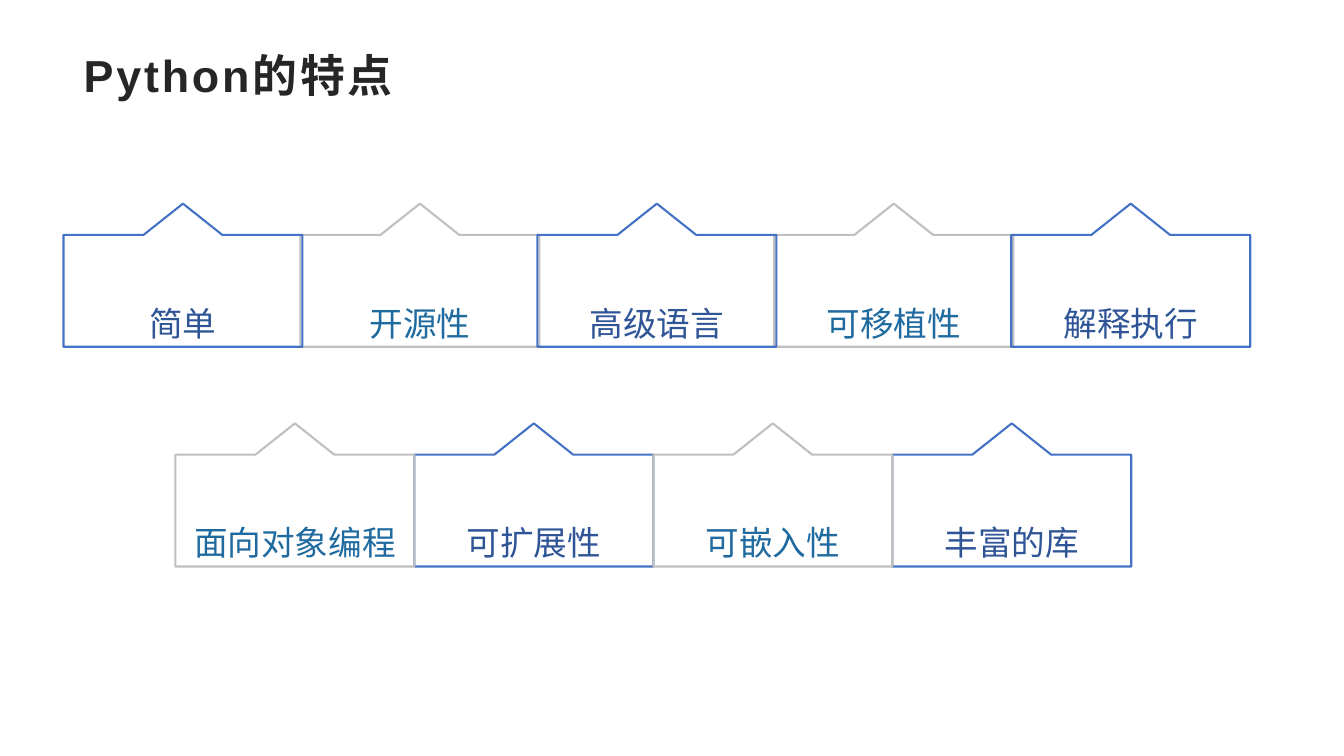
from dataclasses import dataclass

from pptx import Presentation
from pptx.dml.color import RGBColor
from pptx.enum.text import MSO_ANCHOR, PP_ALIGN
from pptx.util import Inches, Pt


@dataclass(frozen=True)
class Tone:
    line: RGBColor
    text: RGBColor


@dataclass(frozen=True)
class Theme:
    font: str = "Arial"
    title_color: RGBColor = RGBColor(0x26, 0x26, 0x26)
    blue: Tone = Tone(RGBColor(0x44, 0x72, 0xC4), RGBColor(0x2F, 0x55, 0x97))
    grey: Tone = Tone(RGBColor(0xC0, 0xC0, 0xC0), RGBColor(0x1F, 0x6A, 0x9F))
    title_size: Pt = Pt(32)
    label_size: Pt = Pt(24)
    outline: Pt = Pt(1.5)


THEME = Theme()

CARD_WIDTH, CARD_HEIGHT = 2.37, 1.42
PEAK_HEIGHT, PEAK_HALF_WIDTH = 0.31, 0.39
LABEL_INSET = 0.9


def write_text(frame, text, *, size, color, bold=False, align=PP_ALIGN.LEFT,
               line_spacing=1.0, tracking=0):
    """Fill a text frame with one formatted paragraph; tracking is in points."""
    para = frame.paragraphs[0]
    para.alignment = align
    para.line_spacing = line_spacing
    span = para.add_run()
    span.text = text
    span.font.name = THEME.font
    span.font.size = size
    span.font.bold = bold
    span.font.color.rgb = color
    if tracking:
        span.font._element.set("spc", str(tracking * 100))


def add_title(page, text):
    title = page.shapes.title
    title.left, title.top = Inches(0.73), Inches(0.48)
    title.width, title.height = Inches(11.87), Inches(0.78)
    title.text_frame.vertical_anchor = MSO_ANCHOR.TOP
    write_text(title.text_frame, text, size=THEME.title_size, color=THEME.title_color,
               bold=True, line_spacing=0.9, tracking=2)


def add_card(page, left, top, label, tone):
    """Draw an outlined box with a peak in the middle of its upper edge."""
    middle, right = left + CARD_WIDTH / 2, left + CARD_WIDTH
    shoulder, bottom = top + PEAK_HEIGHT, top + CARD_HEIGHT
    corners = [
        (middle + PEAK_HALF_WIDTH, shoulder), (right, shoulder), (right, bottom),
        (left, bottom), (left, shoulder), (middle - PEAK_HALF_WIDTH, shoulder),
    ]
    builder = page.shapes.build_freeform(Inches(middle), Inches(top))
    builder.add_line_segments([(Inches(x), Inches(y)) for x, y in corners], close=True)
    card = builder.convert_to_shape()
    card.shadow.inherit = False
    card.fill.background()
    card.line.color.rgb = tone.line
    card.line.width = THEME.outline

    frame = card.text_frame
    frame.word_wrap = True
    frame.vertical_anchor = MSO_ANCHOR.MIDDLE
    frame.margin_left = frame.margin_right = frame.margin_bottom = 0
    frame.margin_top = Inches(LABEL_INSET)
    write_text(frame, label, size=THEME.label_size, color=tone.text,
               align=PP_ALIGN.CENTER, line_spacing=1.1)


def add_card_row(page, labels, *, left, top, pitch, tones):
    """Place cards in alternating tones; the first tone overlaps the second."""
    for parity in (1, 0):
        for index in range(parity, len(labels), 2):
            add_card(page, left + index * pitch, top, labels[index], tones[parity])


def main():
    deck = Presentation()
    deck.slide_width, deck.slide_height = Inches(13.33), Inches(7.5)
    page = deck.slides.add_slide(deck.slide_layouts[5])

    add_title(page, "Python的特点")
    add_card_row(page, ["简单", "开源性", "高级语言", "可移植性", "解释执行"],
                 left=0.63, top=2.02, pitch=2.35, tones=(THEME.blue, THEME.grey))
    add_card_row(page, ["面向对象编程", "可扩展性", "可嵌入性", "丰富的库"],
                 left=1.74, top=4.2, pitch=2.37, tones=(THEME.grey, THEME.blue))
    deck.save("out.pptx")


if __name__ == "__main__":
    main()
